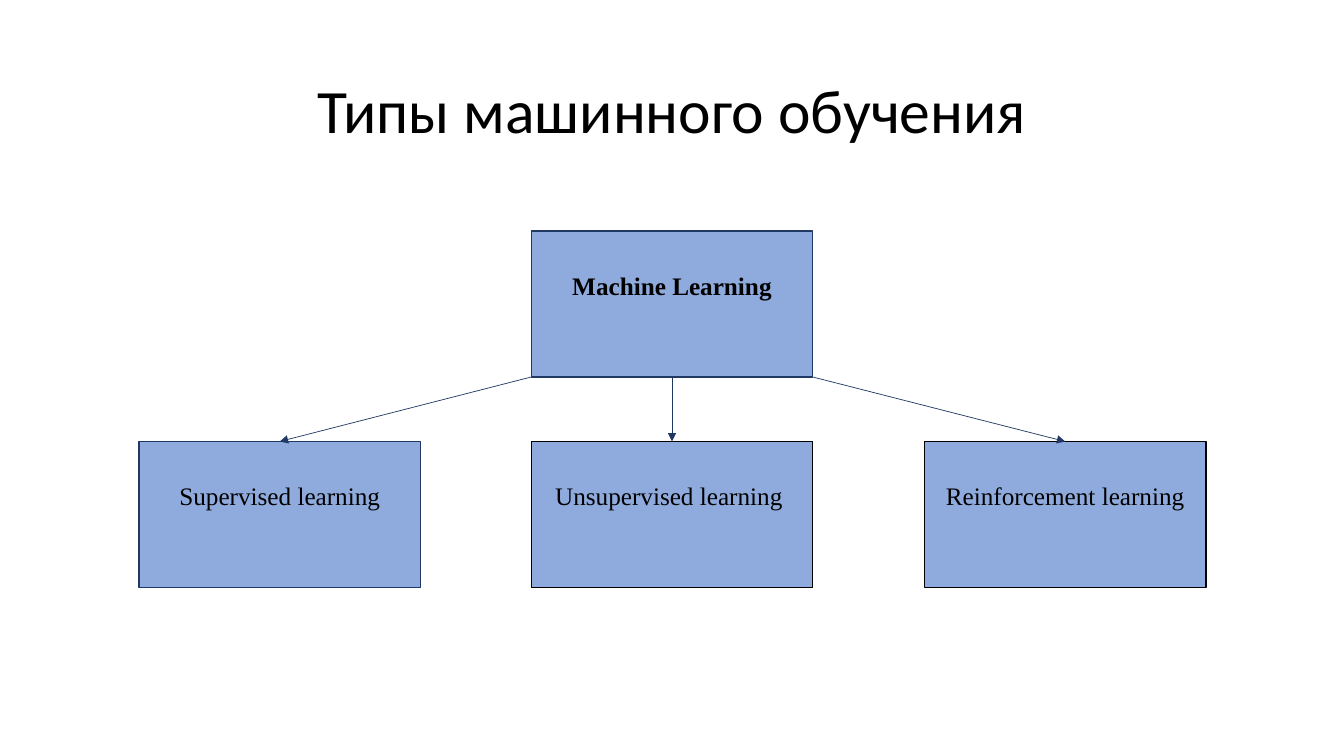
from lxml import etree
from pptx import Presentation
from pptx.dml.color import RGBColor
from pptx.enum.shapes import MSO_CONNECTOR, MSO_SHAPE
from pptx.enum.text import MSO_ANCHOR, MSO_AUTO_SIZE, PP_ALIGN
from pptx.oxml.ns import qn
from pptx.util import Pt

PX = 9144
STRAIGHT = MSO_CONNECTOR.STRAIGHT
RECTANGLE = MSO_SHAPE.RECTANGLE
CENTER = PP_ALIGN.CENTER
MIDDLE = MSO_ANCHOR.MIDDLE
NO_AUTOFIT = MSO_AUTO_SIZE.NONE
FIT_SHAPE = MSO_AUTO_SIZE.SHAPE_TO_FIT_TEXT
NAVY, BLACK, BLUE = "203864", "000000", "8FAADC"
TOP, BOTTOM = 0, 2


def color(value):
    return RGBColor.from_string(value)


def write(shape, text, font="Times New Roman", size=18, bold=False,
          spacing=1.0, fit=FIT_SHAPE):
    frame = shape.text_frame
    frame.word_wrap = True
    frame.auto_size = fit
    paragraph = frame.paragraphs[0]
    paragraph.alignment = CENTER
    paragraph.line_spacing = spacing
    run = paragraph.add_run()
    run.text = text
    run.font.name = font
    run.font.size = Pt(size)
    run.font.bold = bold
    run.font.color.rgb = color(BLACK)


presentation = Presentation()
presentation.slide_width = 1333 * PX
presentation.slide_height = 750 * PX
slide = presentation.slides.add_slide(presentation.slide_layouts[5])
shapes = slide.shapes

title = shapes.title
title.left, title.top, title.width, title.height = 92 * PX, 40 * PX, 1150 * PX, 145 * PX
write(title, "Типы машинного обучения", font="Calibri", size=44, spacing=0.9, fit=NO_AUTOFIT)
title.text_frame.vertical_anchor = MIDDLE

box_width, box_height = 279, 145
left_column, middle_column, right_column = 138, 527, 917
root_top, child_top = 229, 438
label_offset, label_height = 34, 40

nodes = [
    ("Machine Learning", middle_column, root_top, NAVY, True),
    ("Supervised learning", left_column, child_top, NAVY, False),
    ("Unsupervised learning ", middle_column, child_top, BLACK, False),
    ("Reinforcement learning", right_column, child_top, BLACK, False),
]

boxes = []
for text, left, top, outline, bold in nodes:
    box = shapes.add_shape(RECTANGLE, left * PX, top * PX, box_width * PX, box_height * PX)
    box.shadow.inherit = False
    box.fill.solid()
    box.fill.fore_color.rgb = color(BLUE)
    box.line.color.rgb = color(outline)
    box.line.width = Pt(1)
    boxes.append(box)
    label = shapes.add_textbox(left * PX, (top + label_offset) * PX,
                               box_width * PX, label_height * PX)
    write(label, text, bold=bold)

root, *children = boxes
root_bottom = root.top + root.height
arrow_starts = [root.left, root.left + root.width // 2, root.left + root.width]
for start, child in zip(arrow_starts, children):
    arrow = shapes.add_connector(STRAIGHT, start, root_bottom, start, child.top)
    if child.left == root.left:
        arrow.begin_connect(root, BOTTOM)
    arrow.end_connect(child, TOP)
    arrow.line.color.rgb = color(NAVY)
    arrow.line.width = Pt(0.5)
    etree.SubElement(arrow.line._get_or_add_ln(), qn("a:tailEnd"), type="triangle")
    etree.SubElement(arrow._element.spPr, qn("a:effectLst"))

presentation.save("out.pptx")
